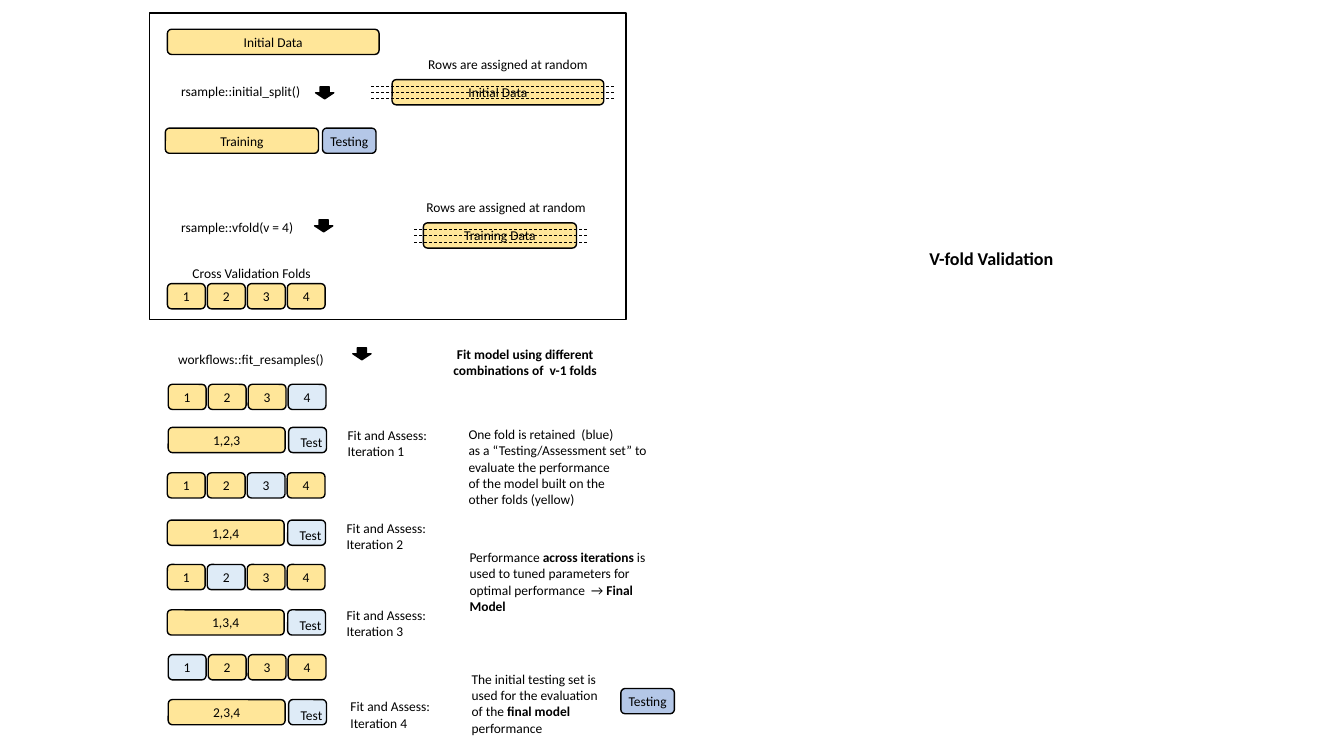
from lxml.etree import SubElement
from pptx import Presentation
from pptx.dml.color import RGBColor
from pptx.enum.dml import MSO_LINE_DASH_STYLE as DASH
from pptx.enum.shapes import MSO_CONNECTOR, MSO_SHAPE
from pptx.enum.text import MSO_ANCHOR, MSO_AUTO_SIZE, PP_ALIGN
from pptx.oxml.ns import qn
from pptx.util import Pt

COLORS = {
    "black": "000000",
    "yellow": "FFE699",
    "blue": "B4C7E7",
    "pale": "DEEBF7",
}
FONT = "Calibri"
BODY_SIZE = 9.6
TITLE_SIZE = 12.9
BAR_HEIGHT = 18
FOLD_WIDTH = 27
FOLD_STEP = 28.55
FOLDS = (1, 2, 3, 4)
TRAINING_WIDTH = 109.4
INITIAL_WIDTH = 151.2
TESTING_WIDTH = 38.2

# Held-out fold, left, fold row top, fit row top, label left, label top
ITERATIONS = [
    (4, 0.7, 31.1, 61.9, 121.7, 58.3),
    (3, 0, 94.3, 128.1, 121, 124.5),
    (2, 0, 159.8, 192.2, 121, 186.4),
    (1, 0.7, 224.2, 256.3, 123.8, 252),
]

# Text, left, top, width, height
NOTES = [
    (["One fold is retained  (blue)",
      "as a “Testing/Assessment set” to evaluate the performance",
      "of the model built on the",
      "other folds (yellow)"], 21.6, 57.6, 146.2, 77),
    (["Performance *across iterations *is used to tuned parameters for "
      "optimal performance  → *Final Model*"], 22.3, 145.4, 149.8, 54),
    (["The initial testing set is used for the evaluation of the "
      "*final model *performance"], 23.8, 232.5, 105.1, 54),
]


def rgb(name):
    return RGBColor.from_string(COLORS[name])


def write(frame, paragraphs, align=PP_ALIGN.LEFT, size=BODY_SIZE):
    """Fill a text frame; text between asterisks is bold."""
    for index, text in enumerate(paragraphs):
        paragraph = frame.add_paragraph() if index else frame.paragraphs[0]
        paragraph.alignment = align
        for position, piece in enumerate(text.split("*")):
            if piece:
                run = paragraph.add_run()
                run.text = piece
                run.font.name = FONT
                run.font.size = Pt(size)
                run.font.bold = position % 2 == 1
                run.font.color.rgb = rgb("black")


def add_text(shapes, paragraphs, left, top, width, height=18.7,
             wrap=False, align=PP_ALIGN.LEFT):
    box = shapes.add_textbox(Pt(left), Pt(top), Pt(width), Pt(height))
    box.text_frame.word_wrap = wrap
    box.text_frame.auto_size = MSO_AUTO_SIZE.SHAPE_TO_FIT_TEXT
    write(box.text_frame, paragraphs, align)


def add_outlined(shapes, kind, left, top, width, height, fill=None):
    shape = shapes.add_shape(kind, Pt(left), Pt(top), Pt(width), Pt(height))
    shape.shadow.inherit = False
    if fill:
        shape.fill.solid()
        shape.fill.fore_color.rgb = rgb(fill)
    else:
        shape.fill.background()
    shape.line.color.rgb = rgb("black")
    shape.line.width = Pt(1)
    return shape


def add_bar(shapes, text, left, top, width, fill="yellow"):
    bar = add_outlined(shapes, MSO_SHAPE.ROUNDED_RECTANGLE,
                       left, top, width, BAR_HEIGHT, fill)
    if text:
        frame = bar.text_frame
        frame.margin_left = frame.margin_right = Pt(3.6)
        frame.margin_top = frame.margin_bottom = Pt(2.16)
        frame.vertical_anchor = MSO_ANCHOR.MIDDLE
        write(frame, [text], PP_ALIGN.CENTER)


def add_arrow(shapes, left, top):
    add_outlined(shapes, MSO_SHAPE.DOWN_ARROW, left, top, 13, 8.6, "black")


def add_folds(shapes, left, top, held_out=None):
    for index, fold in enumerate(FOLDS):
        add_bar(shapes, str(fold), left + index * FOLD_STEP, top, FOLD_WIDTH,
                "pale" if fold == held_out else "yellow")


def add_shuffled_bar(shapes, text, left, top, width, caption_left, before, after):
    """Bar crossed by three dashed row lines, with its caption above."""
    add_text(shapes, ["Rows are assigned at random"], caption_left, top - 20.5, 131)
    add_bar(shapes, text, left, top, width)
    for row in range(3):
        y = Pt(top + 4.8 + row * 4.4)
        line = shapes.add_connector(MSO_CONNECTOR.STRAIGHT, Pt(left - before), y,
                                    Pt(left + width + after), y)
        line.line.color.rgb = rgb("black")
        line.line.width = Pt(0.5)
        line.line.dash_style = DASH.DASH
        SubElement(line._element.spPr, qn("a:effectLst"))


def add_data_splitting(shapes, left, top, width, height):
    add_outlined(shapes, MSO_SHAPE.RECTANGLE, left, top, width, height)
    add_bar(shapes, "Initial Data", left + 13, top + 11.5, INITIAL_WIDTH)
    add_text(shapes, ["rsample::initial_split()"], left + 15.8, top + 46.1, 103,
             wrap=True)
    add_arrow(shapes, left + 118.8, top + 52.6)
    add_shuffled_bar(shapes, "Initial Data", left + 173.5, top + 47.5,
                     INITIAL_WIDTH, left + 192.2, 15, 7.5)
    add_bar(shapes, "Training", left + 11.5, top + 82.1, TRAINING_WIDTH)
    add_bar(shapes, "Testing", left + 123.8, top + 82.1, TESTING_WIDTH, "blue")
    add_text(shapes, ["rsample::vfold(v = 4)"], left + 15.8, top + 143.3, 95.8)
    add_arrow(shapes, left + 118.1, top + 147.6)
    add_shuffled_bar(shapes, "Training Data", left + 195.8, top + 149.8,
                     TRAINING_WIDTH, left + 190.8, 6.5, 9)
    add_text(shapes, ["Cross Validation Folds"], left + 23.8, top + 176.4, 101.5)
    add_folds(shapes, left + 13, top + 193.2)


def add_iterations(shapes, left, top):
    add_text(shapes, ["workflows::fit_resamples()"], left + 0.7, top + 3.6, 121)
    add_arrow(shapes, left + 132.5, top + 5)
    for number, (held_out, shift, folds_top, fit_top, label_left,
                 label_top) in enumerate(ITERATIONS, 1):
        row_left = left + shift
        add_folds(shapes, row_left, top + folds_top, held_out)
        fitted = ",".join(str(fold) for fold in FOLDS if fold != held_out)
        add_bar(shapes, fitted, row_left, top + fit_top, 83.5)
        test = shapes.add_group_shape().shapes
        test_left = row_left + 86
        add_bar(test, "", test_left, top + fit_top, FOLD_WIDTH, "pale")
        add_text(test, ["Test"], test_left + 1.5, top + fit_top + 1.5, 31)
        add_text(shapes, ["Fit and Assess:", f"Iteration {number}"],
                 left + label_left, top + label_top, 72, 31)


def add_notes(shapes, left, top):
    add_text(shapes, ["*Fit model using different combinations of  v-1 folds*"],
             left, top, 138.2, 31, True, PP_ALIGN.CENTER)
    for paragraphs, x, y, width, height in NOTES:
        add_text(shapes, paragraphs, left + x, top + y, width, height, True)
    add_bar(shapes, "Testing", left + 137.5, top + 248.4, TESTING_WIDTH, "blue")


def place_title(title, left, top, width, height):
    title.left, title.top = Pt(left), Pt(top)
    title.width, title.height = Pt(width), Pt(height)
    frame = title.text_frame
    frame.word_wrap = False
    frame.auto_size = MSO_AUTO_SIZE.SHAPE_TO_FIT_TEXT
    frame.vertical_anchor = MSO_ANCHOR.TOP
    write(frame, ["*V-fold Validation*"], size=TITLE_SIZE)


def main():
    presentation = Presentation()
    presentation.slide_width = Pt(960)
    presentation.slide_height = Pt(540)
    slide = presentation.slides.add_slide(presentation.slide_layouts[5])
    place_title(slide.shapes.title, 656.6, 172.8, 103.7, 23)
    add_data_splitting(slide.shapes, 106.6, 9.4, 340.6, 218.9)
    add_iterations(slide.shapes, 119.5, 243.4)
    add_notes(slide.shapes, 306, 243.4)
    presentation.save("out.pptx")


if __name__ == "__main__":
    main()
